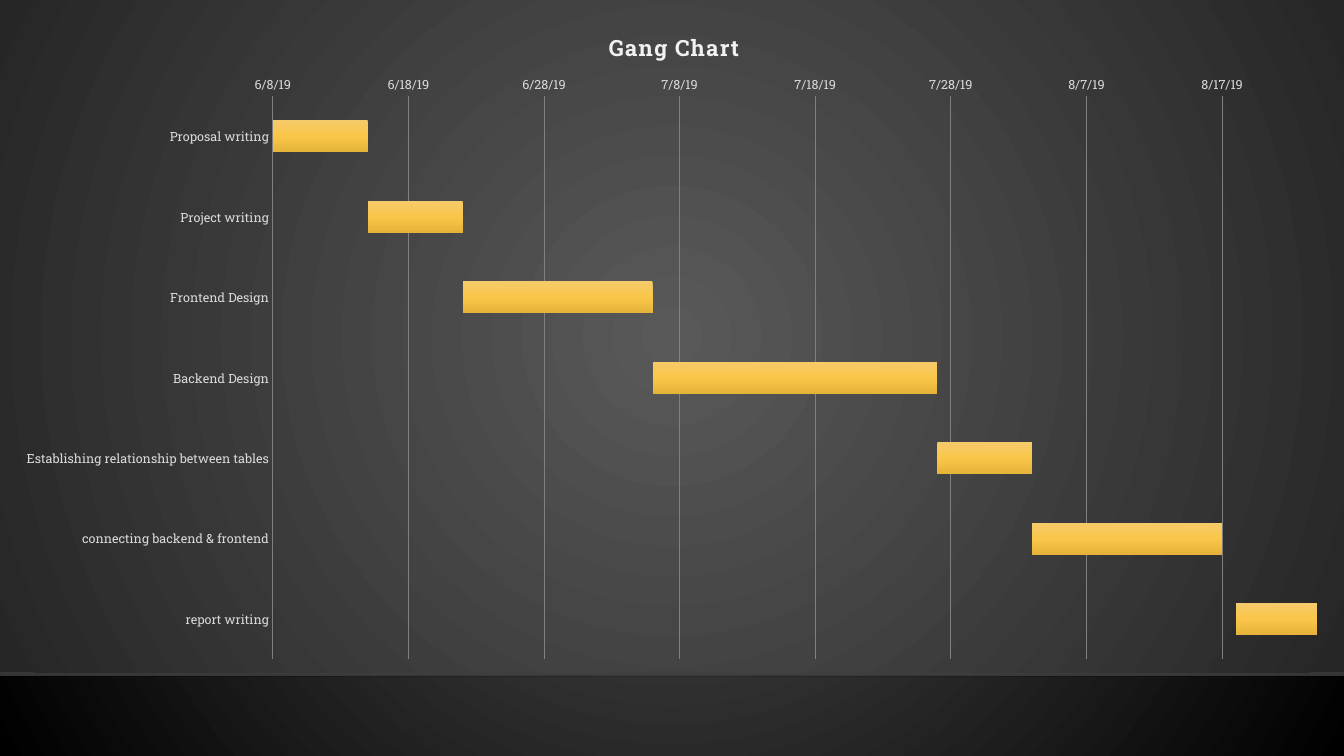
from dataclasses import dataclass

from lxml import etree
from pptx import Presentation
from pptx import util as u
from pptx.chart.data import CategoryChartData
from pptx.dml.color import RGBColor
from pptx.enum import chart as charts, shapes
from pptx.oxml import parse_xml
from pptx.oxml.ns import nsdecls, qn

FONT = "Roboto Slab"
LABEL_COLOR = "D9D9D9"
WIDTH, HEIGHT = u.Cm(33.87), u.Cm(19.05)
CHART_HEIGHT = u.Cm(16.94)
FLOOR_TOP = u.Cm(17.04)
FIRST_DAY, LAST_DAY = 43624, 43701  # spreadsheet day numbers


@dataclass
class Task:
    name: str
    start: int
    days: int


@dataclass
class Stop:
    position: int
    color: str
    opacity: int = 100


TASKS = [
    Task("Proposal writing", 43624, 7),
    Task("Project writing", 43631, 7),
    Task("Frontend Design", 43638, 14),
    Task("Backend Design", 43652, 21),
    Task("Establishing relationship between tables", 43673, 7),
    Task("connecting backend & frontend", 43680, 14),
    Task("report writing", 43695, 7),
]


def rgb(color: str) -> RGBColor:
    return RGBColor.from_string(color)


def gradient(stops: list[Stop], angle: int | None = None):
    """Linear gradient at an angle, or a circle from the centre without one."""
    stop_xml = "".join(
        f'<a:gs pos="{stop.position * 1000}"><a:srgbClr val="{stop.color}">'
        f'<a:alpha val="{stop.opacity * 1000}"/></a:srgbClr></a:gs>'
        for stop in stops
    )
    if angle is None:
        shade = ('<a:path path="circle"><a:fillToRect l="50000" t="50000" '
                 'r="50000" b="50000"/></a:path>')
    else:
        shade = f'<a:lin ang="{angle * 60000}" scaled="0"/>'
    return parse_xml(f'<a:gradFill {nsdecls("a")} rotWithShape="1">'
                     f'<a:gsLst>{stop_xml}</a:gsLst>{shade}</a:gradFill>')


def fill_gradient(fill, element, stops: list[Stop], angle: int | None = None) -> None:
    fill.solid()
    solid = next(element.iter(qn("a:solidFill")))
    solid.getparent().replace(solid, gradient(stops, angle))


def style_font(font, size: float, color: str, bold: bool = False) -> None:
    font.name, font.size, font.bold = FONT, u.Pt(size), bold
    font.color.rgb = rgb(color)


def write_text(frame, content: str, size: float, color: str,
               bold: bool = False, spacing: int = 0) -> None:
    run = frame.paragraphs[0].add_run()
    run.text = content
    style_font(run.font, size, color, bold)
    run._r.get_or_add_rPr().set("spc", str(spacing))


def place(element, index: int, **fractions: float) -> None:
    """Set a manual layout, in fractions of the chart."""
    for old in element.findall(qn("c:layout")):
        element.remove(old)
    target = '<c:layoutTarget val="inner"/>' if "w" in fractions else ""
    modes = '<c:xMode val="edge"/><c:yMode val="edge"/>'
    values = "".join(f'<c:{key} val="{value}"/>' for key, value in fractions.items())
    element.insert(index, parse_xml(
        f'<c:layout {nsdecls("c")}><c:manualLayout>{target}{modes}{values}'
        f'</c:manualLayout></c:layout>'))


def style_axis(axis) -> None:
    axis.major_tick_mark = axis.minor_tick_mark = charts.XL_TICK_MARK.NONE
    axis.format.line.fill.background()
    style_font(axis.tick_labels.font, 9, LABEL_COLOR)


def draw_backdrop(slide) -> None:
    fill_gradient(slide.background.fill, slide._element,
                  [Stop(0, "505050"), Stop(100, "000000")])

    # Wall shading above the floor
    wall = slide.shapes.add_shape(shapes.MSO_SHAPE.RECTANGLE, 0, u.Cm(10.06),
                                  WIDTH, u.Cm(6.96))
    wall.shadow.inherit = False
    fill_gradient(wall.fill, wall._element.spPr,
                  [Stop(0, "454545", 0), Stop(100, "454545", 80)], angle=90)
    wall.line.fill.background()

    # Floor edge
    edge = slide.shapes.add_connector(shapes.MSO_CONNECTOR.STRAIGHT,
                                      0, FLOOR_TOP, WIDTH, FLOOR_TOP)
    edge.line.width = u.Pt(1)
    edge.line.color.rgb = rgb("000001")
    color = next(edge._element.spPr.iter(qn("a:srgbClr")))
    etree.SubElement(color, qn("a:alpha")).set("val", "20000")
    etree.SubElement(edge._element.spPr, qn("a:effectLst"))


def draw_schedule(slide) -> None:
    data = CategoryChartData()
    data.categories = [task.name for task in TASKS]
    data.add_series("Series 1", [task.start for task in TASKS])
    data.add_series("Series 2", [task.days for task in TASKS])
    chart = slide.shapes.add_chart(charts.XL_CHART_TYPE.BAR_STACKED, 0, 0,
                                   WIDTH, CHART_HEIGHT, data).chart
    chart.has_legend = False
    style_font(chart.font, 10, "FFFFFF")

    # Title
    chart.has_title = True
    write_text(chart.chart_title.text_frame, "Gang Chart", size=16,
               color="F2F2F2", bold=True, spacing=100)
    place(chart.chart_title._element, 1, x=0.45, y=0.04)

    # Chart background
    chart_space = chart._chartSpace
    area = parse_xml(f'<c:spPr {nsdecls("c", "a")}><a:ln><a:noFill/></a:ln></c:spPr>')
    area.insert(0, gradient([Stop(0, "595959"), Stop(100, "262626")]))
    chart_space.find(qn("c:chart")).addnext(area)
    place(chart_space.chart.plotArea, 0, x=0.203, y=0.143, w=0.777, h=0.838)

    # Bars: a hidden offset, then the duration
    plot = chart.plots[0]
    plot.gap_width, plot.overlap = 150, 100
    plot.vary_by_categories = False
    offset, duration = plot.series
    offset.format.fill.background()
    fill_gradient(duration.format.fill, duration._element,
                  [Stop(0, "F5CA6B"), Stop(50, "FAC649"), Stop(100, "E5B33A")],
                  angle=90)

    # Axes
    style_axis(chart.category_axis)
    chart.category_axis.reverse_order = True
    dates = chart.value_axis
    style_axis(dates)
    dates.minimum_scale, dates.maximum_scale = FIRST_DAY, LAST_DAY
    dates.major_unit = 10
    dates.tick_labels.number_format = "m/d/yy"
    dates.tick_labels.number_format_is_linked = False
    dates.has_major_gridlines = True
    grid = dates.major_gridlines.format.line
    grid.width = u.Pt(0.75)
    grid.color.rgb = rgb("808080")


def main() -> None:
    presentation = Presentation()
    presentation.slide_width, presentation.slide_height = WIDTH, HEIGHT
    slide = presentation.slides.add_slide(presentation.slide_layouts[6])
    draw_backdrop(slide)
    draw_schedule(slide)
    presentation.save("out.pptx")


if __name__ == "__main__":
    main()
